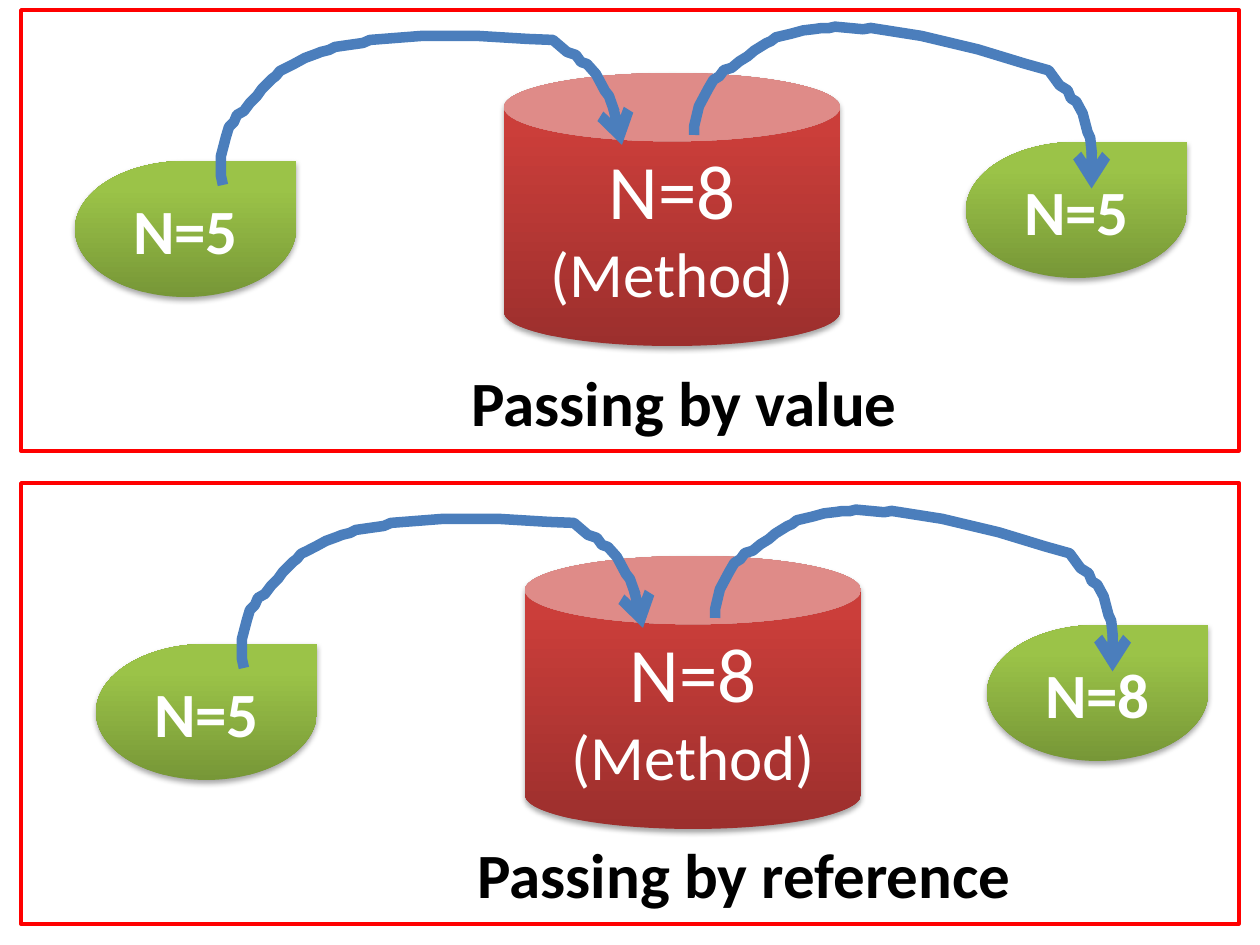
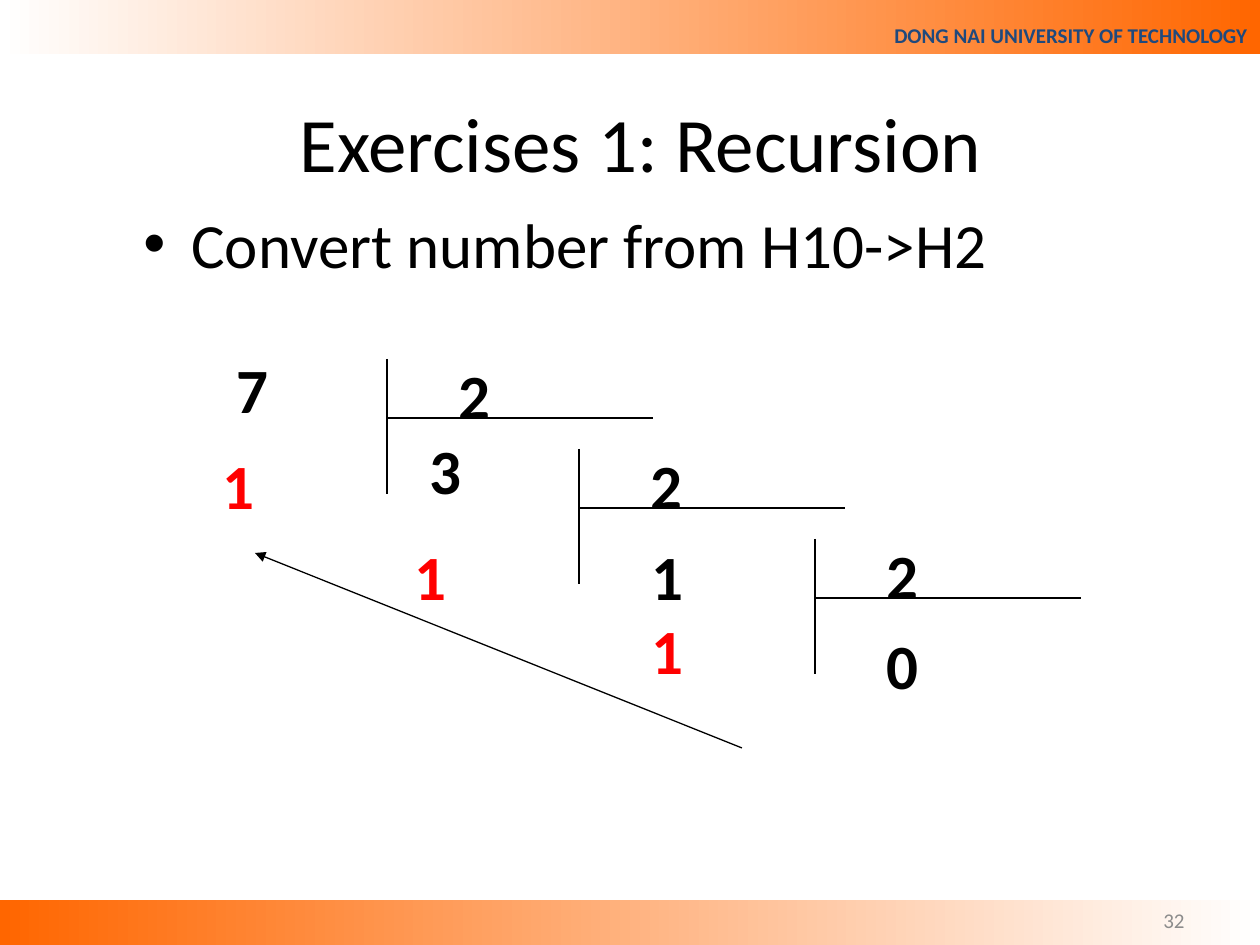
from lxml.etree import SubElement
from pptx import Presentation
from pptx.dml.color import RGBColor as Rgb
from pptx.enum.shapes import MSO_CONNECTOR as Connector, MSO_SHAPE as Shape
from pptx.enum.text import MSO_ANCHOR as Anchor, PP_ALIGN as Align
from pptx.oxml.ns import qn
from pptx.util import Pt

PX = 914400 / 126
FONT = "Calibri"
COLORS = {
    "black": "000000",
    "white": "FFFFFF",
    "red": "FF0000",
    "orange": "FF6600",
    "navy": "1F497D",
    "gray": "8C8C8C",
    "blue": "4B7EBC",
    "can_dark": "9C2F2D",
    "can_light": "CB3E3A",
    "drop_dark": "779737",
    "drop_light": "9BC348",
}
# The curve that carries a value into the method, in px of the upper panel
ARC = [
    (223, 185), (221, 176), (221, 156), (226, 137), (229, 127), (234, 122),
    (237, 115), (244, 111), (250, 103), (257, 96), (262, 89), (272, 79),
    (276, 76), (280, 71), (286, 68), (294, 64), (305, 58), (316, 54),
    (321, 52), (329, 50), (335, 47), (363, 43), (370, 40), (421, 36),
    (479, 36), (528, 39), (553, 40), (567, 52), (576, 55), (581, 62),
    (587, 64), (596, 74), (605, 91), (609, 96), (615, 113), (616, 118),
    (620, 139), (622, 145),
]
ARC_SHIFT = (483, -2)
ARC_TURN = 13.4


def emu(*lengths):
    return [round(length * PX) for length in lengths]


def color(name):
    return Rgb.from_string(COLORS[name])


def set_values(target, values):
    for name, value in values.items():
        setattr(target, name, value)


def write(item, lines, ink="black", bold=False, align=Align.LEFT,
          anchor=Anchor.TOP, wrap=True, spacing=None):
    """Fill a shape with paragraphs given as (text, points) pairs."""
    frame = item.text_frame
    set_values(frame, {"word_wrap": wrap, "vertical_anchor": anchor})
    for index, (text, size) in enumerate(lines):
        para = frame.paragraphs[0] if index == 0 else frame.add_paragraph()
        set_values(para, {"alignment": align, "line_spacing": spacing})
        span = para.add_run()
        span.text = text
        set_values(span.font, {"name": FONT, "size": Pt(size), "bold": bold})
        span.font.color.rgb = color(ink)


def add_text(page, place, text, size, **style):
    box = page.shapes.add_textbox(*emu(*place))
    write(box, [(text, size)], **style)
    return box


def add_gradient_shape(page, kind, place, stops, angle):
    """Add an unlined shape; stops are (position, colour name) pairs."""
    item = page.shapes.add_shape(kind, *emu(*place))
    item.shadow.inherit = False
    item.line.fill.background()
    item.fill.gradient()
    item.fill.gradient_angle = angle
    for stop, (position, name) in zip(item.fill.gradient_stops, stops):
        stop.position = position
        stop.color.rgb = color(name)
    return item


def add_soft_shadow(item):
    effects = item._element.spPr.find(qn("a:effectLst"))
    shadow = SubElement(effects, qn("a:outerShdw"), blurRad="40000",
                        dist="23000", dir="5400000", rotWithShape="0")
    tint = SubElement(shadow, qn("a:srgbClr"), val=COLORS["black"])
    SubElement(tint, qn("a:alpha"), val="35000")


def add_body(page, kind, place, family, lines, bold=False):
    """Add a shaded solid with white centred text."""
    stops = [(0, f"{family}_dark"), (0.8, f"{family}_light")]
    item = add_gradient_shape(page, kind, place, stops, 90)
    add_soft_shadow(item)
    write(item, lines, "white", bold, Align.CENTER, Anchor.MIDDLE)


def add_arrowhead(item, kind):
    SubElement(item.line._get_or_add_ln(), qn("a:tailEnd"), type=kind)


def add_arc(page, left, top, turn=0):
    points = [(x + left, y + top) for x, y in ARC]
    builder = page.shapes.build_freeform(*points[0], scale=PX)
    builder.add_line_segments(points[1:], close=False)
    arc = builder.convert_to_shape()
    arc.shadow.inherit = False
    arc.fill.background()
    arc.rotation = turn
    arc.line.color.rgb = color("blue")
    arc.line.width = Pt(6)
    add_arrowhead(arc, "arrow")


def add_line(page, start, end):
    line = page.shapes.add_connector(Connector.STRAIGHT, *emu(*start, *end))
    line.line.color.rgb = color("black")
    line.line.width = Pt(0.75)
    SubElement(line._element.spPr, qn("a:effectLst"))
    return line


def add_passing(page, left, top, result):
    """Draw a value going into the method and the value coming back."""
    add_body(page, Shape.CAN, (504 + left, 73 + top, 336, 273), "can",
             [("N=8", 44), ("(Method)", 36)])
    for x, y, text in [(75, 161, "N=5"), (966, 142, result)]:
        add_body(page, Shape.TEAR, (x + left, y + top, 221, 136), "drop",
                 [(text, 36)], bold=True)
    add_arc(page, left, top)
    add_arc(page, left + ARC_SHIFT[0], top + ARC_SHIFT[1], ARC_TURN)


def add_panel_frame(page, top):
    frame = page.shapes.add_shape(Shape.RECTANGLE, *emu(21, top, 1218, 441))
    frame.shadow.inherit = False
    frame.fill.background()
    frame.line.color.rgb = color("red")
    frame.line.width = Pt(2)


def add_bands(page, number):
    add_gradient_shape(page, Shape.RECTANGLE, (0, 900, 1260, 49),
                       [(0, "orange"), (1, "white")], 0)
    add_text(page, (903, 895, 294, 50), number, 12, ink="gray",
             align=Align.RIGHT, anchor=Anchor.MIDDLE)
    header = add_gradient_shape(page, Shape.RECTANGLE, (0, -4, 1260, 58),
                                [(0, "white"), (1, "orange")], 0)
    write(header, [("DONG NAI UNIVERSITY OF TECHNOLOGY", 12)], "navy", True,
          Align.RIGHT, Anchor.BOTTOM, spacing=1.8)


def add_bullet(box, indent):
    properties = box.text_frame.paragraphs[0]._p.get_or_add_pPr()
    width = round(indent * PX)
    properties.set("marL", str(width))
    properties.set("indent", str(-width))
    SubElement(properties, qn("a:buFont"), typeface="Arial")
    SubElement(properties, qn("a:buChar"), char="•")


def add_digit(page, left, top, text, ink="black"):
    add_text(page, (left, top, 178, 127), text, 36, ink=ink, bold=True,
             anchor=Anchor.MIDDLE)


def add_division(page, left, top):
    """Draw the corner of a long division with its divisor."""
    add_line(page, (left, top), (left, top + 135))
    add_line(page, (left, top + 59), (left + 266, top + 59))
    add_digit(page, left + 59, top - 28, "2")


def build_passing_slide(page):
    add_passing(page, 0, 0, "N=5")
    add_passing(page, 21, 483, "N=8")
    for top in (10, 483):
        add_panel_frame(page, top)
    for place, text in [((459, 357, 455, 89), "Passing by value"),
                        ((465, 829, 564, 89), "Passing by reference")]:
        add_text(page, place, text, 36, bold=True, wrap=False)


def build_recursion_slide(page):
    add_bands(page, "32")
    add_text(page, (95, 63, 1092, 158), "Exercises 1: Recursion", 44,
             align=Align.CENTER, anchor=Anchor.MIDDLE)
    task = add_text(page, (131, 199, 1060, 513),
                    "Convert number from H10->H2", 36)
    add_bullet(task, 48)

    add_digit(page, 224, 325, "7")
    for step, left in enumerate((387, 579, 815)):
        add_division(page, left, 359 + 90 * step)
    for left, top, quotient in [(417, 406, "3"), (639, 512, "1"),
                                (874, 601, "0")]:
        add_digit(page, left, top, quotient)
    for left, top in [(210, 421), (402, 512), (639, 586)]:
        add_digit(page, left, top, "1", "red")
    reading_order = add_line(page, (742, 748), (255, 553))
    add_arrowhead(reading_order, "triangle")


def main():
    deck = Presentation()
    deck.slide_width, deck.slide_height = emu(1260, 945)
    for build in (build_passing_slide, build_recursion_slide):
        build(deck.slides.add_slide(deck.slide_layouts[6]))
    deck.save("out.pptx")


if __name__ == "__main__":
    main()
